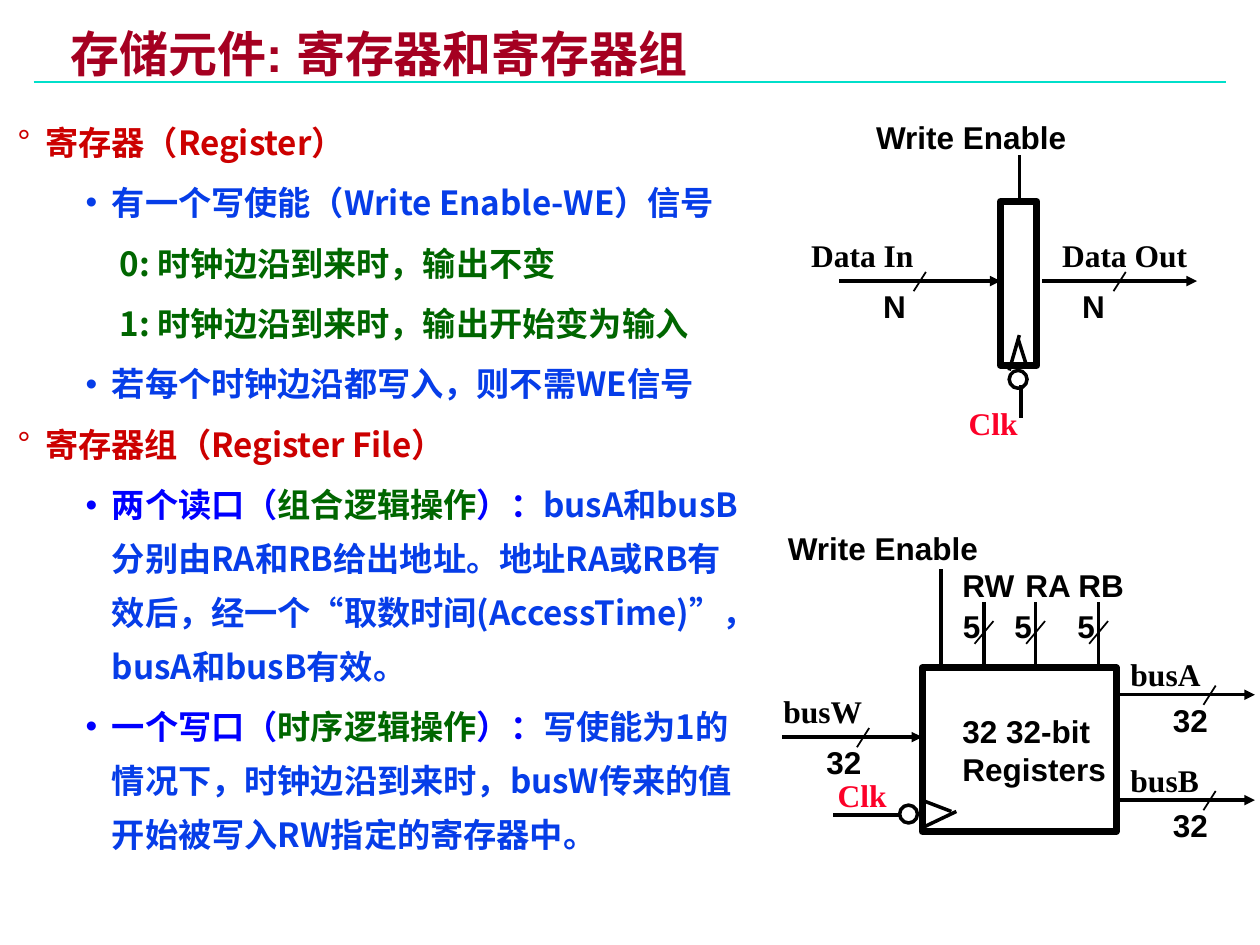
from lxml.etree import SubElement
from pptx import Presentation
from pptx.dml.color import RGBColor
from pptx.enum.shapes import MSO_CONNECTOR, MSO_SHAPE
from pptx.enum.text import MSO_AUTO_SIZE, MSO_ANCHOR
from pptx.oxml.ns import qn
from pptx.util import Pt

ARIAL, SERIF, CJK = "Arial", "Times New Roman", "Noto Sans CJK SC"
BLACK, PINK, RED, BLUE, DEEP_BLUE, GREEN = (
    "000000", "FC0128", "CC0000", "063DE8", "0000FF", "006600")
LABEL_HEIGHT = 28.8

HEADING = {"left": 16, "hanging": 16, "bullet": "°"}
ITEM = {"left": 54, "hanging": 15, "bullet": "•"}
DETAIL = {"left": 58.5, "hanging": 0, "bullet": None}
BODY = [
    (HEADING, [("寄存器（Register）", RED)]),
    (ITEM, [("有一个写使能（Write Enable-WE）信号", BLUE)]),
    (DETAIL, [("0: 时钟边沿到来时，输出不变", GREEN)]),
    (DETAIL, [("1: 时钟边沿到来时，输出开始变为输入", GREEN)]),
    (ITEM, [("若每个时钟边沿都写入，则不需WE信号", BLUE)]),
    (HEADING, [("寄存器组（Register File）", RED)]),
    (ITEM, [("两个读口（", DEEP_BLUE), ("组合逻辑操作", GREEN), ("）：", DEEP_BLUE),
            ("busA和busB分别由RA和RB给出地址。地址RA或RB有效后，"
             "经一个“取数时间(AccessTime)”，busA和busB有效。", BLUE)]),
    (ITEM, [("一个写口（", DEEP_BLUE), ("时序逻辑操作", GREEN), ("）：", DEEP_BLUE),
            ("写使能为1的情况下，时钟边沿到来时，"
             "busW传来的值开始被写入RW指定的寄存器中。", BLUE)]),
]


def color(value):
    return RGBColor.from_string(value)


def add_run(paragraph, text, font_name, size, value, east_asian=CJK):
    run = paragraph.add_run()
    run.text = text
    for name, setting in {"name": font_name, "size": Pt(size), "bold": True}.items():
        setattr(run.font, name, setting)
    run.font.color.rgb = color(value)
    SubElement(run.font._element, qn("a:ea"), typeface=east_asian)


def add_text_frame(slide, box, margins):
    frame = slide.shapes.add_textbox(*map(Pt, box)).text_frame
    settings = {
        "margin_left": Pt(margins[0]), "margin_right": Pt(margins[0]),
        "margin_top": Pt(margins[1]), "margin_bottom": Pt(margins[1]),
        "word_wrap": True, "auto_size": MSO_AUTO_SIZE.SHAPE_TO_FIT_TEXT,
        "vertical_anchor": MSO_ANCHOR.TOP,
    }
    for name, setting in settings.items():
        setattr(frame, name, setting)
    return frame


def set_bullet(paragraph, left, hanging, bullet):
    properties = paragraph._p.get_or_add_pPr()
    properties.set("marL", str(Pt(left)))
    properties.set("indent", str(-Pt(hanging)))
    if bullet:
        SubElement(properties, qn("a:buFont"), typeface=ARIAL)
        SubElement(properties, qn("a:buChar"), char=bullet)
    else:
        SubElement(properties, qn("a:buNone"))


def add_line(slide, start, end, width=2, value=BLACK, arrow=False):
    line = slide.shapes.add_connector(MSO_CONNECTOR.STRAIGHT, *map(Pt, (*start, *end)))
    line.line.color.rgb = color(value)
    line.line.width = Pt(width)
    if arrow:
        SubElement(line.line._get_or_add_ln(), qn("a:tailEnd"), type="triangle")
    SubElement(line._element.spPr, qn("a:effectLst"))


def add_title(slide, box):
    left, top, width, height = box
    add_line(slide, (left - 16, top + 31), (left + 665, top + 31), 1.5, "00DFCA")
    paragraph = add_text_frame(slide, box, (5, 2.2)).paragraphs[0]
    paragraph.line_spacing = 0.87
    add_run(paragraph, "存储元件: 寄存器和寄存器组", ARIAL, 28, "A50021")


def add_body(slide, box):
    frame = add_text_frame(slide, box, (5, 2.2))
    for index, (style, runs) in enumerate(BODY):
        paragraph = frame.add_paragraph() if index else frame.paragraphs[0]
        paragraph.line_spacing = 1.35
        paragraph.space_before = Pt(3.8 if index else 0)
        set_bullet(paragraph, **style)
        for text, value in runs:
            add_run(paragraph, text, CJK, 19, value)


class Diagram:
    """Draws circuit parts relative to the top left corner of its box."""

    def __init__(self, slide, left, top):
        self.slide, self.left, self.top = slide, left, top

    def at(self, x, y):
        return self.left + x, self.top + y

    def label(self, text, x, y, width, font_name=ARIAL, value=BLACK, height=LABEL_HEIGHT):
        frame = add_text_frame(self.slide, (*self.at(x, y), width, height), (7.2, 3.6))
        for index, line in enumerate(text.split("\n")):
            paragraph = frame.add_paragraph() if index else frame.paragraphs[0]
            add_run(paragraph, line, font_name, 18, value, font_name)

    def line(self, start, end, width=2, arrow=False):
        add_line(self.slide, self.at(*start), self.at(*end), width, arrow=arrow)

    def outline(self, kind, x, y, width, height, weight):
        shape = self.slide.shapes.add_shape(kind, *map(Pt, (*self.at(x, y), width, height)))
        shape.shadow.inherit = False
        shape.fill.background()
        shape.line.color.rgb = color(BLACK)
        shape.line.width = Pt(weight)

    def block(self, x, y, width, height):
        self.outline(MSO_SHAPE.RECTANGLE, x, y, width, height, 4)

    def clock_bubble(self, x, y):
        self.outline(MSO_SHAPE.OVAL, x, y, 10.2, 10.2, 2)

    def slash(self, x, y, half_width, half_height):
        self.line((x + half_width, y - half_height), (x - half_width, y + half_height), 1)

    def bus(self, start, end, y, slash_x, name, name_box, bits, bits_box):
        """Boxes are (left, width), with the rise above the bus added for the name."""
        name_left, name_width, rise = name_box
        self.line((start, y), (end, y), arrow=True)
        self.slash(slash_x, y + 0.3, 3.5, 5.5)
        self.label(name, name_left, y - rise, name_width, SERIF)
        self.label(bits, bits_box[0], y, bits_box[1])


def add_register(slide, left, top):
    diagram = Diagram(slide, left, top)
    diagram.label("Write Enable", 37.5, 0, 126)
    diagram.line((126.5, 49.8), (126.5, 24.6))
    diagram.block(115.7, 51.2, 20.9, 93.6)
    diagram.bus(23.5, 115.7, 96.6, 69.6, "Data In", (0.5, 88, 29.5), "N", (41.5, 29))
    diagram.bus(139.4, 228, 96.6, 183.8, "Data Out", (143.8, 120, 29.5), "N", (155.3, 29))
    diagram.line((120.7, 147.7), (126.5, 127.5))
    diagram.line((125.8, 129.7), (130.8, 145.5))
    diagram.clock_bubble(120.7, 147.7)
    diagram.line((127.2, 156.3), (127.2, 175), 2.25)
    diagram.label("Clk", 90.5, 163.5, 45, SERIF, PINK)


def add_register_file(slide, left, top):
    diagram = Diagram(slide, left, top)
    diagram.label("Write Enable", 3.1, 0.8, 126)
    diagram.line((97.8, 82.2), (97.8, 27.4))
    diagram.block(87, 83.6, 110.9, 93.6)
    diagram.label("32 32-bit\nRegisters", 102.9, 105.2, 98, height=50.4)
    for name, x, name_left in (
            ("RW", 122.3, 102.9), ("RA", 151.8, 138.9), ("RB", 187.8, 169.1)):
        diagram.label(name, name_left, 21.7, 46)
        diagram.line((x, 46.2), (x, 83))
        diagram.slash(x, 63.4, 5.4, 6.5)
        diagram.label("5", x - 19.2, 45.4, 26)
    diagram.bus(7.1, 87, 123.2, 53.2, "busW", (0.6, 64, 29.5), "32", (25.1, 37))
    for name, y in (("busA", 99), ("busB", 159.2)):
        diagram.bus(196.5, 277.1, y, 251.2, name, (198.9, 60, 26), "32", (223.1, 37))
    diagram.line((88.5, 159.9), (103.6, 165.7))
    diagram.line((106.5, 165.7), (87, 175))
    diagram.clock_bubble(74.1, 162.1)
    diagram.line((74, 167.8), (36, 167.8))
    diagram.label("Clk", 31.6, 141.9, 45, SERIF, PINK)


def main():
    presentation = Presentation()
    presentation.slide_width, presentation.slide_height = Pt(720), Pt(540)
    slide = presentation.slides.add_slide(presentation.slide_layouts[6])
    add_title(slide, (35.3, 15.8, 550, 33))
    add_body(slide, (5, 59.5, 426, 437))
    add_register(slide, 456, 64)
    add_register_file(slide, 440, 298)
    presentation.save("out.pptx")


if __name__ == "__main__":
    main()
